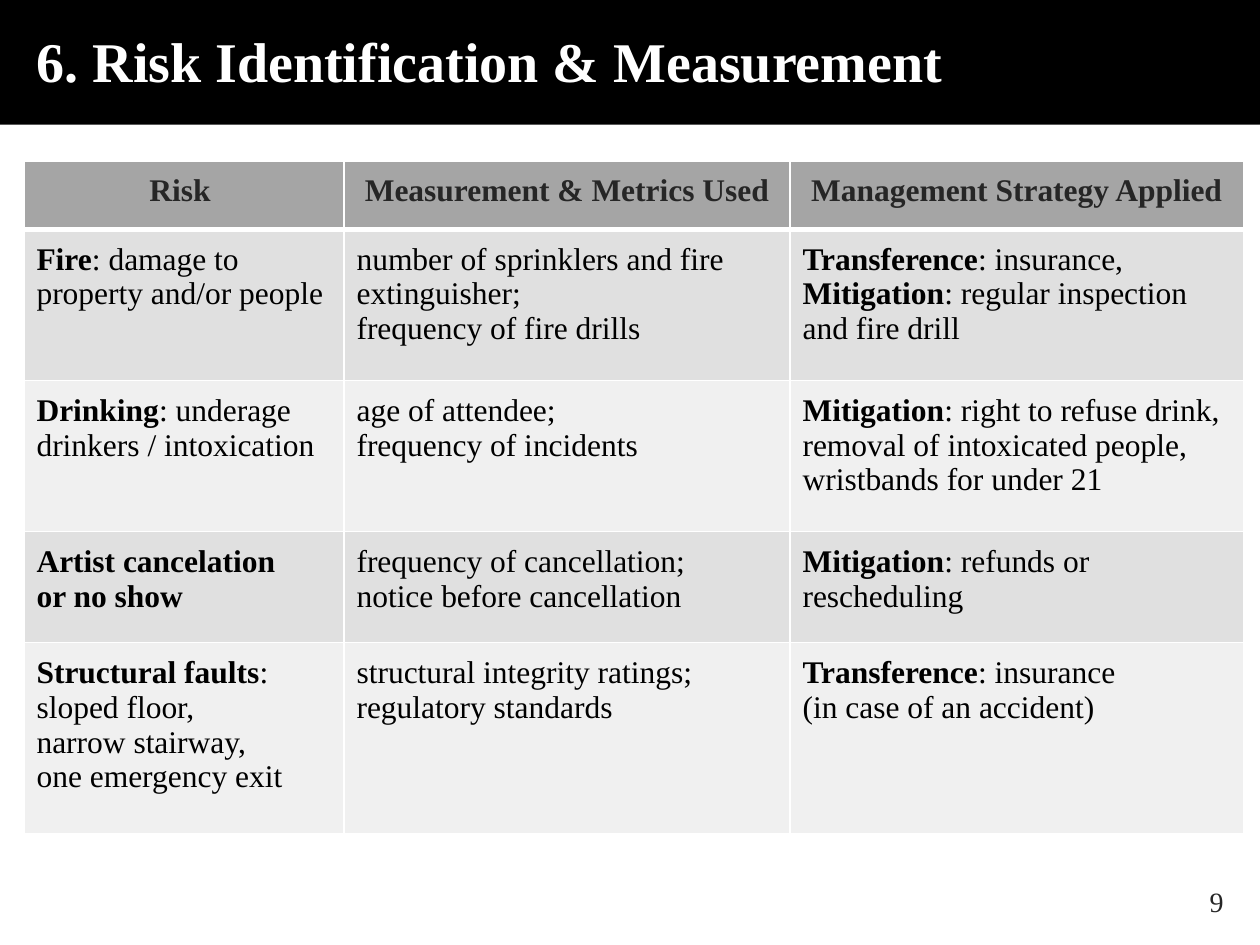
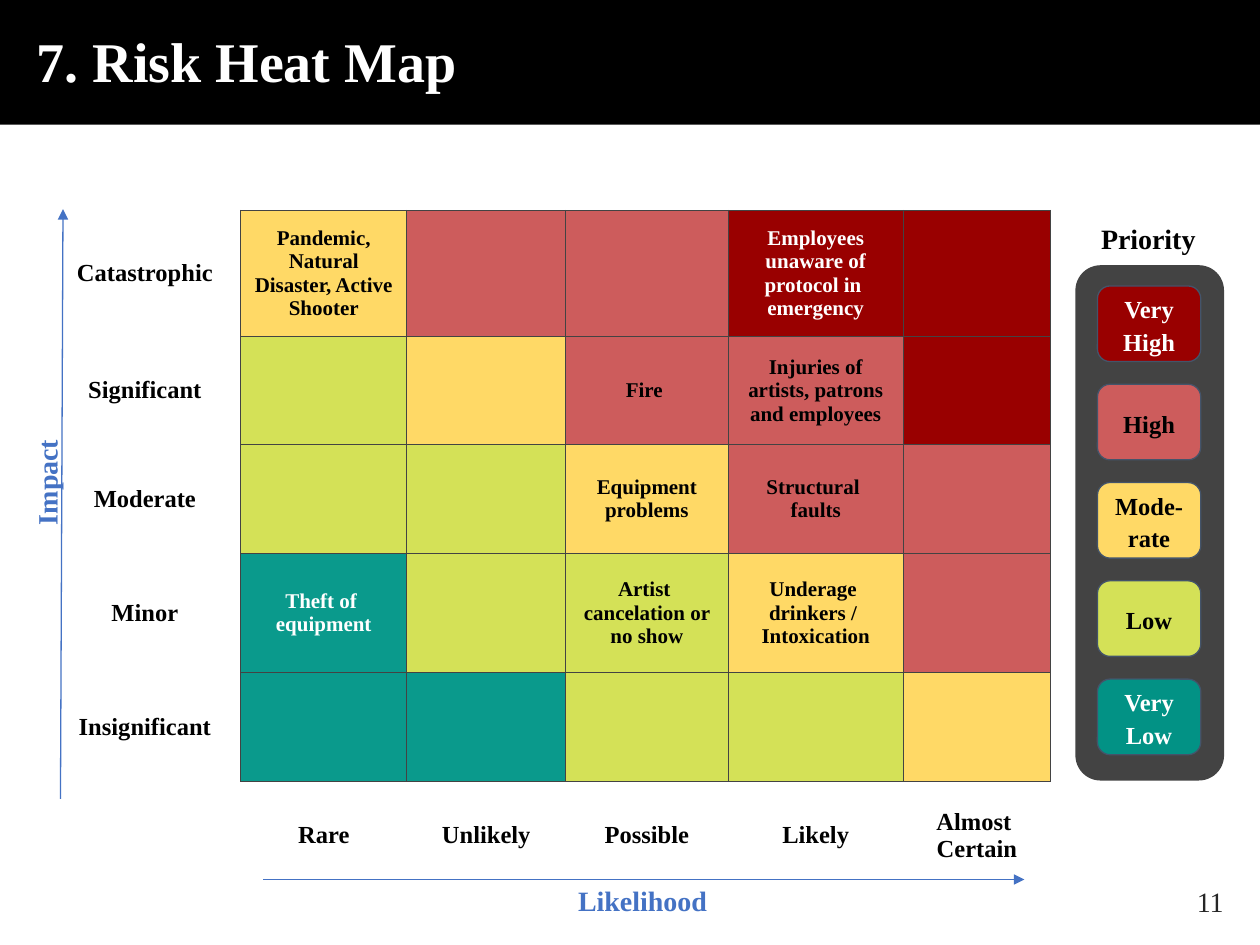
"""Builds two risk slides: a measurement table and a heat map."""
from collections import namedtuple

from lxml.etree import SubElement
from pptx import Presentation
from pptx.dml.color import RGBColor
from pptx.enum.shapes import MSO_CONNECTOR, MSO_SHAPE
from pptx.enum.text import MSO_ANCHOR, PP_ALIGN
from pptx.oxml.ns import qn
from pptx.util import Inches, Pt

Box = namedtuple("Box", "left top width height")

FONT = "Times New Roman"
BLACK = RGBColor(0x00, 0x00, 0x00)
WHITE = RGBColor(0xFF, 0xFF, 0xFF)
INK = RGBColor(0x26, 0x26, 0x26)
CHARCOAL = RGBColor(0x43, 0x43, 0x43)
SLATE = RGBColor(0x44, 0x54, 0x6A)
AXIS_BLUE = RGBColor(0x44, 0x72, 0xC4)
HEADER_GREY = RGBColor(0xA5, 0xA5, 0xA5)
ROW_GREYS = (RGBColor(0xE0, 0xE0, 0xE0), RGBColor(0xF0, 0xF0, 0xF0))
DARK_RED = RGBColor(0x99, 0x00, 0x00)
RED = RGBColor(0xCD, 0x5C, 0x5C)
YELLOW = RGBColor(0xFF, 0xD9, 0x66)
LIME = RGBColor(0xD4, 0xE1, 0x57)
TEAL = RGBColor(0x00, 0x96, 0x88)
ALPHA = {TEAL: 96}

BAND = Box(0, 0, 10, 0.99)
TITLE = Box(0.19, 0.12, 9.62, 0.78)
PAGE_NUMBER = Box(7.56, 6.95, 2.25, 0.4)

RISK_HEADERS = ("Risk ", "Measurement & Metrics Used", "Management Strategy Applied")
RISKS = (
    ("**Fire**: damage to\nproperty and/or people",
     "number of sprinklers and fire \vextinguisher; \vfrequency of fire drills",
     "**Transference**: insurance, \v**Mitigation**: regular inspection \vand fire drill"),
    ("**Drinking**: underage\ndrinkers / intoxication",
     "age of attendee; \vfrequency of incidents",
     "**Mitigation**: right to refuse drink,  removal of intoxicated people, "
     "\vwristbands for under 21"),
    ("**Artist cancelation \vor no show**",
     "frequency of cancellation; \vnotice before cancellation",
     "**Mitigation**: refunds or rescheduling"),
    ("**Structural faults**: \vsloped floor, \vnarrow stairway,\none emergency exit",
     "structural integrity ratings; \vregulatory standards",
     "**Transference**: insurance \v(in case of an accident)"),
)

PRIORITIES = (("Very High", DARK_RED), ("High", RED), ("Mode-rate", YELLOW),
              ("Low", LIME), ("Very\nLow", TEAL))
IMPACTS = ("Catastrophic", "Significant", "Moderate", "Minor", "Insignificant")
LIKELIHOODS = ("Rare", "Unlikely", "Possible", "Likely", "Almost \nCertain")
PRIORITY_GRID = ("21100", "32110", "33211", "43321", "44332")
HEAT_RISKS = {
    (0, 0): "Pandemic, Natural Disaster, Active Shooter",
    (0, 3): "Employees unaware of protocol in \nemergency",
    (1, 2): "Fire ",
    (1, 3): "Injuries of artists, patrons and employees",
    (2, 2): "Equipment problems",
    (2, 3): "Structural \nfaults",
    (3, 0): "Theft of \nequipment",
    (3, 2): "Artist \ncancelation or no show",
    (3, 3): "Underage \ndrinkers / \nIntoxication",
}


def inches(box):
    """Return the four lengths of a box."""
    return [Inches(value) for value in box]


def write(frame, text, size=14, color=BLACK, bold=False, align=PP_ALIGN.LEFT, spacing=None):
    """Write text: newline starts a paragraph, \\v breaks a line, ** toggles bold."""
    for index, line in enumerate(text.split("\n")):
        paragraph = frame.add_paragraph() if index else frame.paragraphs[0]
        paragraph.alignment = align
        if spacing:
            paragraph.line_spacing = spacing
        for part, chunk in enumerate(line.split("**")):
            for order, piece in enumerate(chunk.split("\v")):
                if order:
                    paragraph.add_line_break()
                if piece:
                    run = paragraph.add_run()
                    run.text = piece
                    run.font.name, run.font.size = FONT, Pt(size)
                    run.font.bold = bold or part % 2 == 1
                    run.font.color.rgb = color


def set_insets(frame, side=0.1, end=0.1):
    """Set the margins of a text frame or a table cell."""
    frame.margin_left = frame.margin_right = Inches(side)
    frame.margin_top = frame.margin_bottom = Inches(end)


def paint(fill, color):
    """Fill with a solid colour, with its transparency if it has one."""
    fill.solid()
    fill.fore_color.rgb = color
    if color in ALPHA:
        srgb = fill._xPr.find(qn("a:solidFill"))[0]
        SubElement(srgb, qn("a:alpha"), val=str(ALPHA[color] * 1000))


def add_block(slide, kind, box, color, outline=None):
    """Add a flat preset shape."""
    block = slide.shapes.add_shape(kind, *inches(box))
    block.shadow.inherit = False
    paint(block.fill, color)
    if outline is None:
        block.line.fill.background()
    else:
        block.line.color.rgb = outline
        block.line.width = Pt(0.75)
    return block


def add_label(slide, box, text, end=0.1, anchor=MSO_ANCHOR.TOP, rotation=0, **style):
    """Add a wrapped text box."""
    label = slide.shapes.add_textbox(*inches(box))
    label.rotation = rotation
    label.text_frame.word_wrap = True
    label.text_frame.vertical_anchor = anchor
    set_insets(label.text_frame, end=end)
    write(label.text_frame, text, **style)


def add_arrow(slide, start, tip):
    """Add an axis line with a triangle at its tip."""
    arrow = slide.shapes.add_connector(MSO_CONNECTOR.STRAIGHT, *inches(start + tip))
    arrow.line.color.rgb = AXIS_BLUE
    arrow.line.width = Pt(0.75)
    SubElement(arrow.line._get_or_add_ln(), qn("a:tailEnd"), type="triangle")
    SubElement(arrow._element.spPr, qn("a:effectLst"))


def add_plain_table(slide, box, widths, heights):
    """Add a table without banding, with the given columns and rows."""
    table = slide.shapes.add_table(len(heights), len(widths), *inches(box)).table
    table.first_row = table.horz_banding = False
    for column, width in zip(table.columns, widths):
        column.width = Inches(width)
    for row, height in zip(table.rows, heights):
        row.height = Inches(height)
    return table


def style_cell(cell, background, text="", anchor=MSO_ANCHOR.TOP, borders=None, **style):
    """Format a cell; borders maps L, R, T and B to a colour and a width."""
    borders = borders or {}
    properties = cell._tc.get_or_add_tcPr()
    for side in "LRTB":
        line = SubElement(properties, qn("a:ln" + side))
        if side in borders:
            line_color, width = borders[side]
            line.set("w", str(int(Pt(width))))
            solid = SubElement(line, qn("a:solidFill"))
            SubElement(solid, qn("a:srgbClr"), val=str(line_color))
        else:
            SubElement(line, qn("a:noFill"))
    if background is None:
        cell.fill.background()
    else:
        paint(cell.fill, background)
    set_insets(cell)
    cell.vertical_anchor = anchor
    if text:
        write(cell.text_frame, text, **style)


def add_titled_slide(deck, title, number):
    """Add a slide with its title and page number."""
    slide = deck.slides.add_slide(deck.slide_layouts[5])
    heading = slide.shapes.title
    heading.left, heading.top, heading.width, heading.height = inches(TITLE)
    heading.text_frame.vertical_anchor = MSO_ANCHOR.MIDDLE
    set_insets(heading.text_frame, end=0.05)
    write(heading.text_frame, title, size=32, color=WHITE, bold=True, spacing=0.9)
    add_label(slide, PAGE_NUMBER, number, end=0.05, anchor=MSO_ANCHOR.MIDDLE,
              size=16, color=INK, align=PP_ALIGN.RIGHT)
    return slide


def move_band_to_layout(slide):
    """Put the black title band on the layout that the slides share."""
    band = add_block(slide, MSO_SHAPE.RECTANGLE, BAND, BLACK)
    slide.slide_layout.shapes._spTree.insert(2, band._element)


def add_risk_table(slide, box):
    """Add the table of risks, metrics and strategies."""
    table = add_plain_table(slide, box, (2.54, 3.54, 3.6), (0.54, 1.2, 1.2, 0.88, 1.52))
    thin, thick = (WHITE, 1), (WHITE, 3)
    for column, header in enumerate(RISK_HEADERS):
        style_cell(table.cell(0, column), HEADER_GREY, header, size=18, color=INK, bold=True,
                   align=PP_ALIGN.CENTER, borders=dict(L=thin, R=thin, T=thin, B=thick))
    for row, risk in enumerate(RISKS):
        borders = dict(L=thin, R=thin, T=thin if row else thick, B=thin)
        for column, text in enumerate(risk):
            style_cell(table.cell(row + 1, column), ROW_GREYS[row % 2], text,
                       size=18, borders=borders)


def text_color_on(color):
    """Return the readable text colour on a priority colour."""
    return WHITE if color in (DARK_RED, TEAL) else BLACK


def add_heat_map(slide, box):
    """Add the impact and likelihood grid with its row and column labels."""
    table = add_plain_table(slide, box, (1.52, 1.32, 1.26, 1.29, 1.39, 1.17),
                            (0.95, 0.86, 0.86, 0.95, 0.86, 0.86))
    edge = (CHARCOAL, 0.75)
    centred = dict(anchor=MSO_ANCHOR.MIDDLE, align=PP_ALIGN.CENTER, bold=True)
    for row, (impact, levels) in enumerate(zip(IMPACTS, PRIORITY_GRID)):
        style_cell(table.cell(row, 0), WHITE, impact, borders=dict(R=edge), **centred)
        for column, level in enumerate(levels):
            color = PRIORITIES[int(level)][1]
            style_cell(table.cell(row, column + 1), color, HEAT_RISKS.get((row, column), ""),
                       size=12, color=text_color_on(color),
                       borders=dict.fromkeys("LRTB", edge), **centred)
    style_cell(table.cell(len(IMPACTS), 0), None)
    for column, likelihood in enumerate(LIKELIHOODS, start=1):
        style_cell(table.cell(len(IMPACTS), column), None, likelihood,
                   borders=dict(T=edge), **centred)


def add_axes(slide, box):
    """Add the impact and likelihood arrows with their names."""
    left, top, width, height = box
    name = dict(size=16, color=AXIS_BLUE, bold=True)
    bottom = top + height
    add_arrow(slide, (left, bottom - 0.64), (left + 0.02, top))
    add_arrow(slide, (left + 1.61, bottom), (left + width, bottom))
    add_label(slide, Box(left - 0.69, top + 1.92, 1.03, 0.34), "Impact", rotation=270, **name)
    add_label(slide, Box(left + 4.01, bottom - 0.07, 1.74, 0.37), "Likelihood", **name)


def add_priority_legend(slide, box):
    """Add the panel of priority levels with its heading."""
    left, top, width, height = box
    panel = add_block(slide, MSO_SHAPE.ROUNDED_RECTANGLE, box, CHARCOAL, CHARCOAL)
    panel.adjustments[0] = 0.167
    add_label(slide, Box(left + 0.1, top - 0.45, width, 0.45), "Priority", size=16, bold=True)
    for index, (priority, color) in enumerate(PRIORITIES):
        key_box = Box(left + 0.17, top + 0.16 + 0.78 * index, width - 0.35, 0.6)
        key = add_block(slide, MSO_SHAPE.ROUNDED_RECTANGLE, key_box, color, SLATE)
        key.adjustments[0] = 0.167
        key.text_frame.word_wrap = True
        key.text_frame.vertical_anchor = MSO_ANCHOR.MIDDLE
        set_insets(key.text_frame)
        write(key.text_frame, priority, color=text_color_on(color), bold=True,
              align=PP_ALIGN.CENTER, spacing=1.1)


def main():
    """Build and save the deck."""
    deck = Presentation()
    deck.slide_width, deck.slide_height = Inches(10), Inches(7.5)
    measurement = add_titled_slide(deck, "6. Risk Identification & Measurement", "9")
    move_band_to_layout(measurement)
    add_risk_table(measurement, Box(0.19, 1.28, 9.68, 5.34))
    heat_map = add_titled_slide(deck, "7. Risk Heat Map", "11")
    add_priority_legend(heat_map, Box(8.54, 2.11, 1.17, 4.08))
    add_heat_map(heat_map, Box(0.39, 1.67, 7.95, 5.34))
    add_axes(heat_map, Box(0.48, 1.66, 7.65, 5.32))
    deck.save("out.pptx")


if __name__ == "__main__":
    main()
